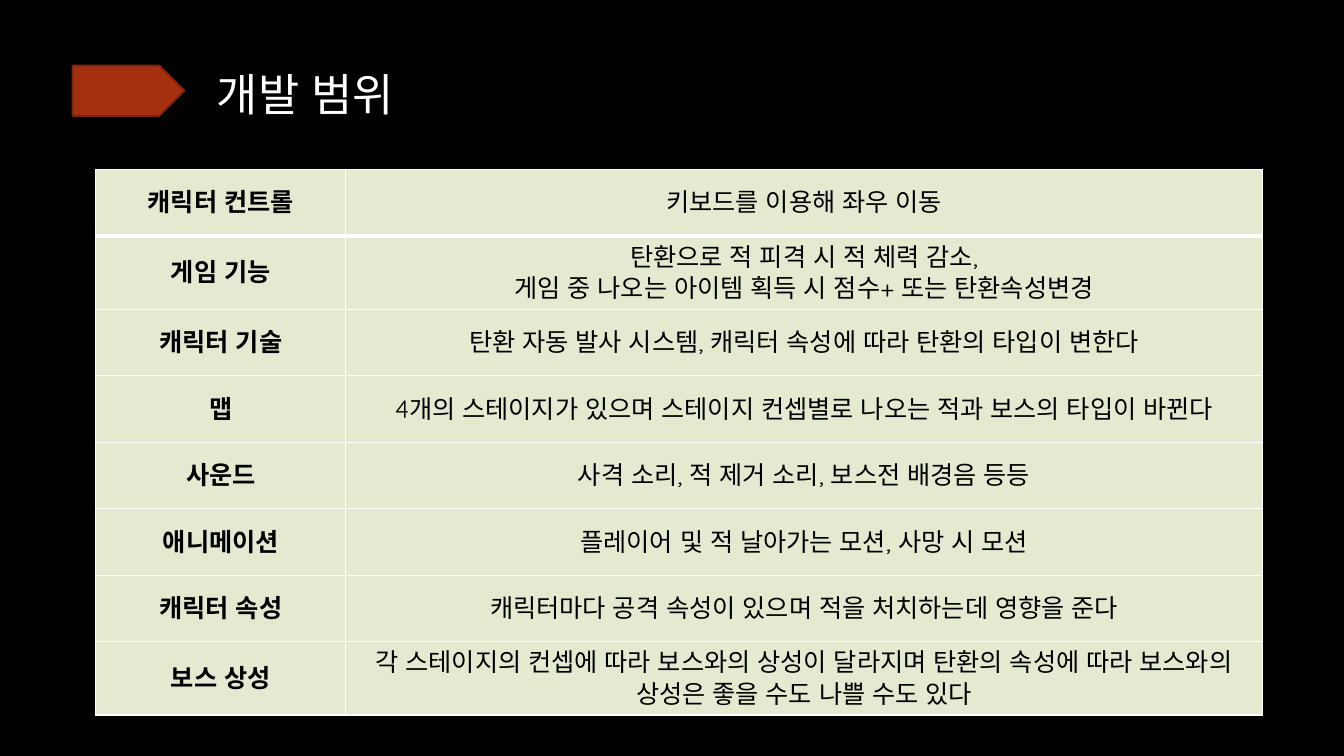
from lxml import etree
from pptx import Presentation
from pptx.dml.color import RGBColor
from pptx.enum.lang import MSO_LANGUAGE_ID as Language
from pptx.enum.shapes import MSO_SHAPE as Shape
from pptx.enum.text import MSO_ANCHOR as Anchor, PP_ALIGN as Align
from pptx.oxml.ns import qn
from pptx.util import Inches, Pt

COLORS = {
    "background": "000000",
    "title": "FFFFFF",
    "arrow": "A53010",
    "arrow_line": "7A240C",
    "cell": "E3EACF",
    "cell_text": "000000",
    "border": "FFFFFF",
}
FONT = "Quicksand"
COLUMN_WIDTHS = (2.48, 9.09)
ROW_HEIGHT = 0.66
SCOPE = [
    ("캐릭터 컨트롤", "키보드를 이용해 좌우 이동"),
    ("게임 기능", "탄환으로 적 피격 시 적 체력 감소,\n"
                 "게임 중 나오는 아이템 획득 시 점수+ 또는 탄환속성변경"),
    ("캐릭터 기술", "탄환 자동 발사 시스템, 캐릭터 속성에 따라 탄환의 타입이 변한다"),
    ("맵", "4개의 스테이지가 있으며 스테이지 컨셉별로 나오는 적과 보스의 타입이 바뀐다"),
    ("사운드", "사격 소리, 적 제거 소리, 보스전 배경음 등등"),
    ("애니메이션", "플레이어 및 적 날아가는 모션, 사망 시 모션"),
    ("캐릭터 속성", "캐릭터마다 공격 속성이 있으며 적을 처치하는데 영향을 준다"),
    ("보스 상성", "각 스테이지의 컨셉에 따라 보스와의 상성이 달라지며 "
                 "탄환의 속성에 따라 보스와의 상성은 좋을 수도 나쁠 수도 있다"),
]


def color(name):
    return RGBColor.from_string(COLORS[name])


def write_text(frame, text, *, size, ink, align, bold=False):
    """Fill a text frame with one formatted paragraph per line of text."""
    frame.word_wrap = True
    for index, line in enumerate(text.split("\n")):
        para = frame.paragraphs[0] if index == 0 else frame.add_paragraph()
        para.alignment = align
        span = para.add_run()
        span.text = line
        font = span.font
        font.size, font.bold, font.name = Pt(size), bold, FONT
        font.color.rgb = color(ink)
        font.language_id = Language.KOREAN
        latin = span._r.rPr.find(qn("a:latin"))
        east_asian = etree.Element(qn("a:ea"), typeface=FONT)
        latin.addnext(east_asian)


def add_title(page, text):
    title = page.shapes.title
    title.left, title.top = Inches(2.05), Inches(0.57)
    title.width, title.height = Inches(2.99), Inches(0.68)
    title.text_frame.vertical_anchor = Anchor.BOTTOM
    write_text(title.text_frame, text, size=32, ink="title", align=Align.LEFT)


def add_title_arrow(page):
    arrow = page.shapes.add_shape(
        Shape.PENTAGON, Inches(0.72), Inches(0.65), Inches(1.11), Inches(0.5))
    arrow.shadow.inherit = False
    arrow.fill.solid()
    arrow.fill.fore_color.rgb = color("arrow")
    arrow.line.color.rgb = color("arrow_line")
    arrow.line.width = Pt(1.25)


def set_borders(cell, *, top=1, bottom=1):
    """Draw all four edges; top and bottom are widths in points."""
    properties = cell._tc.get_or_add_tcPr()
    for edge, width in (("L", 1), ("R", 1), ("T", top), ("B", bottom)):
        line = etree.SubElement(properties, qn(f"a:ln{edge}"), w=str(Pt(width)))
        fill = etree.SubElement(line, qn("a:solidFill"))
        etree.SubElement(fill, qn("a:srgbClr"), val=COLORS["border"])


def add_scope_table(page):
    frame = page.shapes.add_table(
        len(SCOPE), len(COLUMN_WIDTHS), Inches(0.95), Inches(1.68),
        Inches(sum(COLUMN_WIDTHS)), Inches(ROW_HEIGHT * len(SCOPE)))
    table = frame.table
    table.first_row = table.horz_banding = False
    for column, width in zip(table.columns, COLUMN_WIDTHS):
        column.width = Inches(width)
    for row_index, texts in enumerate(SCOPE):
        table.rows[row_index].height = Inches(ROW_HEIGHT)
        for column_index, text in enumerate(texts):
            cell = table.cell(row_index, column_index)
            cell.vertical_anchor = Anchor.MIDDLE
            set_borders(cell, top=3 if row_index == 1 else 1,
                        bottom=3 if row_index == 0 else 1)
            cell.fill.solid()
            cell.fill.fore_color.rgb = color("cell")
            write_text(cell.text_frame, text, size=18, ink="cell_text",
                       align=Align.CENTER, bold=column_index == 0)


def main():
    deck = Presentation()
    deck.slide_width, deck.slide_height = Inches(13.33), Inches(7.5)
    page = deck.slides.add_slide(deck.slide_layouts.get_by_name("Title Only"))
    page.background.fill.solid()
    page.background.fill.fore_color.rgb = color("background")
    add_title_arrow(page)
    add_title(page, "개발 범위")
    add_scope_table(page)
    deck.save("out.pptx")


if __name__ == "__main__":
    main()
